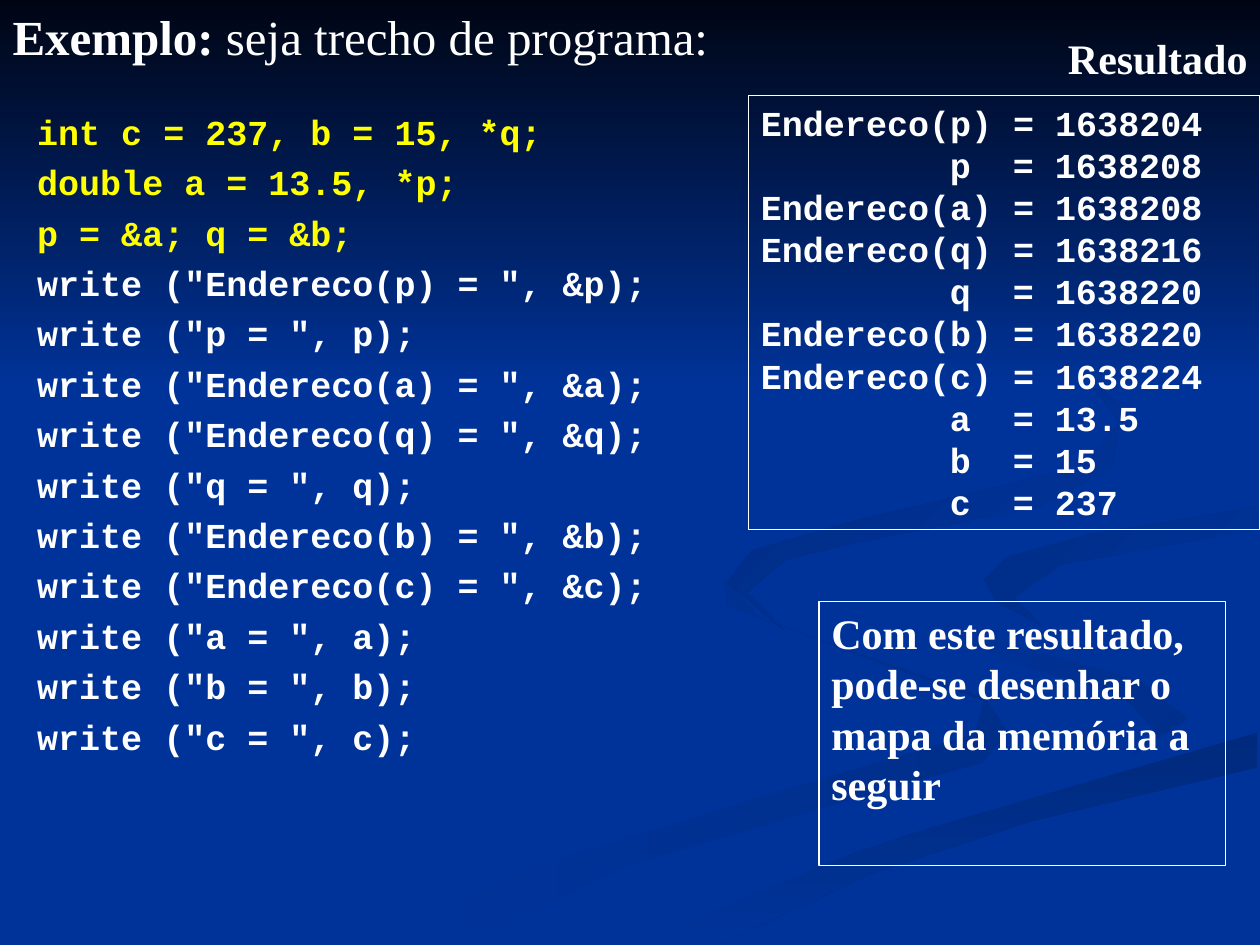
import pptx
import pptx.util
import pptx.dml.color
import pptx.enum.shapes
import pptx.enum.text
from pptx.oxml import parse_xml
from pptx.oxml.ns import nsdecls

Cm, Pt = pptx.util.Cm, pptx.util.Pt
RGBColor = pptx.dml.color.RGBColor
ALIGN = pptx.enum.text.PP_ALIGN
WHITE = RGBColor(0xFF, 0xFF, 0xFF)
YELLOW = RGBColor(0xFF, 0xFF, 0x00)
BLUE = RGBColor(0x00, 0x33, 0x99)
NIGHT = RGBColor(0x00, 0x05, 0x14)
DIM = RGBColor(0x00, 0x2E, 0x8B)
DEEP = RGBColor(0x00, 0x2A, 0x7D)
SHADE = RGBColor(0x00, 0x2D, 0x86)
DUSK = RGBColor(0x00, 0x2B, 0x82)
SERIF, MONO = "Times New Roman", "Courier New"

HEAD = ("Exemplo: ", "seja trecho de programa:")
DECLS = ["int c = 237, b = 15, *q;", "double a = 13.5, *p;", "p = &a; q = &b;"]
WRITES = [
    'write ("Endereco(p) = ", &p);',
    'write ("p = ", p);',
    'write ("Endereco(a) = ", &a);',
    'write ("Endereco(q) = ", &q);',
    'write ("q = ", q);',
    'write ("Endereco(b) = ", &b);',
    'write ("Endereco(c) = ", &c);',
    'write ("a = ", a);',
    'write ("b = ", b);',
    'write ("c = ", c);',
]
OUTPUT = [
    "Endereco(p) = 1638204",
    "\tp\t= 1638208",
    "Endereco(a) = 1638208",
    "Endereco(q) = 1638216",
    "\tq\t= 1638220",
    "Endereco(b) = 1638220",
    "Endereco(c) = 1638224",
    "\ta\t= 13.5",
    "\tb\t= 15",
    "\tc\t= 237",
]
LABEL = ["Resultado"]
NOTE = ["Com este resultado, pode-se desenhar o mapa da memória a seguir"]
STOPS = [3.81, 5.08]

UNIT = Cm(2.54) / 100
WAVES = [
    (BLUE, DIM, 0, [
        (781, 553), (682, 519), (602, 490), (575, 459), (576, 480), (679, 519),
        (781, 556), (774, 583), (616, 629), (417, 690), (300, 749), (361, 749),
        (499, 687), (676, 634), (780, 605), (800, 581)]),
    (BLUE, DIM, 45, [
        (943, 570), (905, 540), (792, 509), (733, 483), (724, 464), (733, 488),
        (797, 524), (892, 553), (918, 581), (894, 605), (932, 589)]),
    (DEEP, BLUE, 90, [
        (503, 749), (571, 749), (695, 692), (821, 651), (998, 609), (998, 581),
        (797, 638), (630, 693)]),
    (BLUE, BLUE, 0, [
        (725, 464), (759, 498), (905, 540), (943, 570), (892, 605), (704, 655),
        (477, 749), (503, 749), (696, 669), (999, 581), (999, 538), (817, 492),
        (781, 463), (822, 434), (999, 402), (999, 387), (788, 422)]),
    (SHADE, BLUE, 45, [
        (781, 460), (791, 478), (826, 496), (805, 474), (843, 448), (998, 420),
        (998, 402), (865, 424), (799, 442)]),
    (DUSK, BLUE, 45, [
        (683, 430), (825, 402), (883, 370), (890, 324), (843, 275), (762, 233),
        (846, 279), (889, 335), (861, 370), (676, 414), (597, 437), (577, 462),
        (622, 500), (593, 470), (624, 444)]),
    (NIGHT, BLUE, 90, [(0, 0), (0, 308), (1000, 308), (1000, 0)]),
]


def wave(shapes, start, end, angle, dots):
    pen = shapes.build_freeform(*dots[0], scale=UNIT)
    pen.add_line_segments(dots[1:], close=True)
    shape = pen.convert_to_shape()
    shape.shadow.inherit = False
    shape.line.fill.background()
    if start == end:
        shape.fill.solid()
        shape.fill.fore_color.rgb = start
        return
    shape.fill.gradient()
    shape.fill.gradient_angle = (360 - angle) % 360
    for stop, tone, spot in zip(shape.fill.gradient_stops, (start, end), (0, 1)):
        stop.color.rgb = tone
        stop.position = spot


def style(run, face, size, tone=WHITE, bold=True):
    run.font.name = face
    run.font.size = Pt(size)
    run.font.color.rgb = tone
    run.font.bold = bold


def block(shapes, box, lines, face, size, frame=False):
    place = [Cm(n) for n in box]
    if frame:
        shape = shapes.add_shape(pptx.enum.shapes.MSO_SHAPE.RECTANGLE, *place)
        shape.shadow.inherit = False
        shape.fill.background()
        shape.line.color.rgb = WHITE
        shape.line.width = Pt(0.75)
    else:
        shape = shapes.add_textbox(*place)
    text = shape.text_frame
    text.word_wrap = True
    text.vertical_anchor = pptx.enum.text.MSO_ANCHOR.TOP
    text.text = "\n".join(lines)
    for para in text.paragraphs:
        para.alignment = ALIGN.LEFT
        for run in para.runs:
            style(run, face, size)
    return text.paragraphs


def tabs(para):
    marks = "".join(f'<a:tab pos="{Cm(n)}" algn="l"/>' for n in STOPS)
    props = para._p.get_or_add_pPr()
    props.append(parse_xml(f'<a:tabLst {nsdecls("a")}>{marks}</a:tabLst>'))


def heading(slide):
    title = slide.shapes.title
    slide.shapes._spTree.append(title._element)
    title.left, title.top = Cm(0), Cm(0)
    title.width, title.height = Cm(25.4), Cm(19.05)
    text = title.text_frame
    text.auto_size = pptx.enum.text.MSO_AUTO_SIZE.NONE
    text.vertical_anchor = pptx.enum.text.MSO_ANCHOR.TOP
    text.text = "".join(HEAD)
    para = text.paragraphs[0]
    para.alignment = ALIGN.LEFT
    para.space_before = Pt(7)
    para.runs[0].text = HEAD[0]
    para.add_run().text = HEAD[1]
    for run, bold in zip(para.runs, (True, False)):
        style(run, SERIF, 28, bold=bold)


def main():
    deck = pptx.Presentation()
    deck.slide_width, deck.slide_height = Cm(25.4), Cm(19.05)
    slide = deck.slides.add_slide(deck.slide_layouts[5])
    shapes = slide.shapes
    slide.background.fill.solid()
    slide.background.fill.fore_color.rgb = BLUE
    for item in WAVES:
        wave(shapes, *item)
    heading(slide)
    code = block(shapes, (0.5, 1.93, 14.2, 13.46), DECLS + WRITES, MONO, 20)
    for para in code:
        para.line_spacing = 1.2
    for para in code[:len(DECLS)]:
        para.runs[0].font.color.rgb = YELLOW
    for para in block(shapes, (15.09, 1.93, 10.31, 8.74), OUTPUT, MONO, 20, True):
        tabs(para)
    label = block(shapes, (20.09, 0.53, 5.31, 1.27), LABEL, SERIF, 24)
    label[0].alignment = ALIGN.RIGHT
    block(shapes, (16.51, 12.12, 8.2, 5.33), NOTE, SERIF, 24, True)
    deck.save("out.pptx")


if __name__ == "__main__":
    main()
